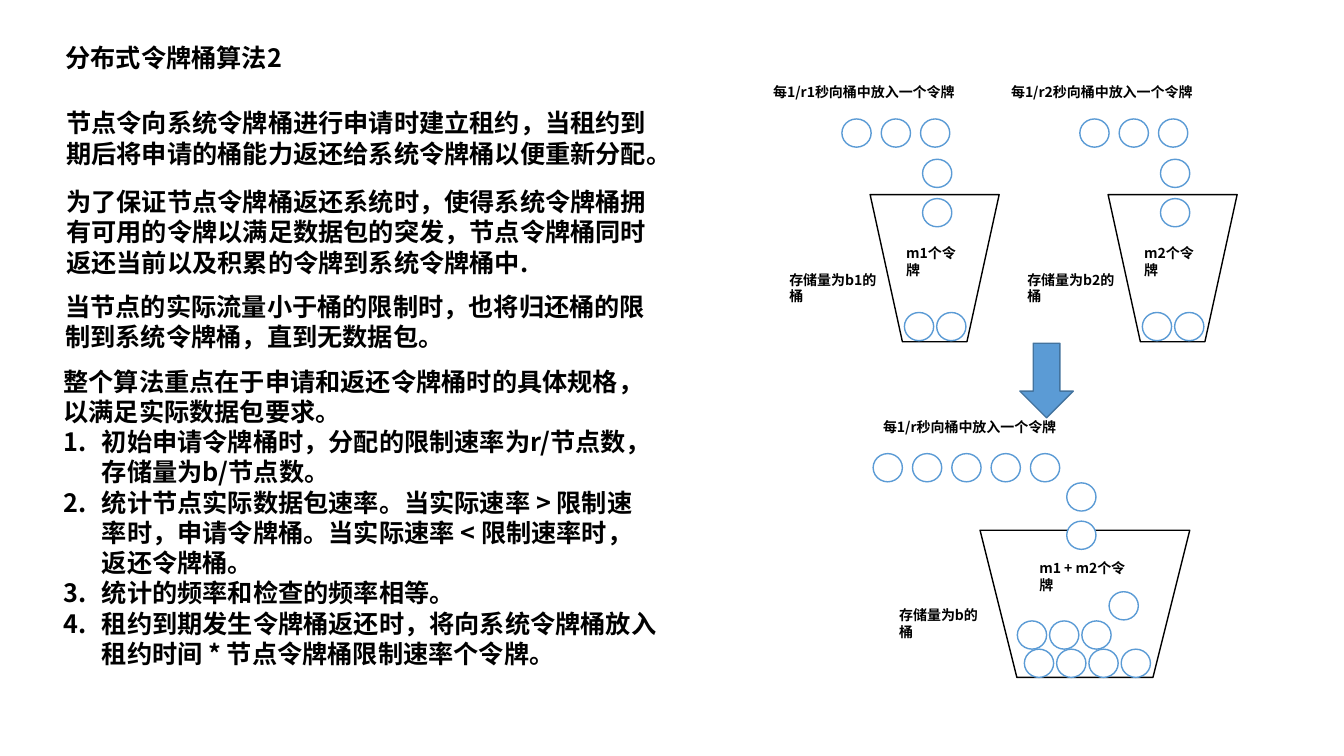
from lxml import etree
from pptx import Presentation
from pptx import util as u
from pptx.dml.color import RGBColor
from pptx.enum import shapes, text
from pptx.oxml import ns

TITLE = ("分布式令牌桶算法2", (0.55, 0.37, 2.36, 0.4))
PARAGRAPHS = [
    ("节点令向系统令牌桶进行申请时建立租约，当租约到期后将申请的桶能力返还给系统令牌桶以便重新分配。",
     (0.56, 1.02, 6.09, 0.71)),
    ("为了保证节点令牌桶返还系统时，使得系统令牌桶拥有可用的令牌以满足数据包的突发，"
     "节点令牌桶同时返还当前以及积累的令牌到系统令牌桶中.", (0.56, 1.8, 6.09, 1.01)),
    ("当节点的实际流量小于桶的限制时，也将归还桶的限制到系统令牌桶，直到无数据包。",
     (0.55, 2.84, 6.09, 0.71)),
]
SUMMARY = "整个算法重点在于申请和返还令牌桶时的具体规格，以满足实际数据包要求。"
RULES = [
    "初始申请令牌桶时，分配的限制速率为r/节点数，存储量为b/节点数。",
    "统计节点实际数据包速率。当实际速率 > 限制速率时，申请令牌桶。当实际速率 < 限制速率时，返还令牌桶。",
    "统计的频率和检查的频率相等。",
    "租约到期发生令牌桶返还时，将向系统令牌桶放入租约时间 * 节点令牌桶限制速率个令牌。",
]
RULES_BOX = (0.53, 3.58, 6.09, 3.13)

# Token rows: (offset from the bucket's left, offset from its top, count, pitch)
QUEUE, STORED = 0.39, 0.32
NODE_ROWS = [(-0.28, -0.75, 3, QUEUE), (0.52, -0.35, 1, 0), (0.52, 0.04, 1, 0),
             (0.34, 1.17, 2, STORED)]
SYSTEM_ROWS = [(0.44, 1.18, 4, STORED), (0.37, 0.9, 3, STORED), (1.28, 0.61, 1, 0),
               (-1.06, -0.76, 5, QUEUE), (0.86, -0.47, 1, 0), (0.86, -0.09, 1, 0)]
# Labels: (wording, offset from left, offset from top, width)
NODE_LABELS = [("每1/r{0}秒向桶中放入一个令牌", -1.06, -1.15, 2.03),
               ("存储量为b{0}的桶", -0.9, 0.71, 1.18), ("m{0}个令牌", 0.26, 0.45, 0.76)]
SYSTEM_LABELS = [("每1/r秒向桶中放入一个令牌", -1.06, -1.16, 1.96),
                 ("存储量为b的桶", -0.9, 0.71, 1.11), ("m1 + m2个令牌", 0.49, 0.24, 1.11)]
# Buckets: (number, left, top, width, token rows, labels)
BUCKETS = [("", 9.72, 5.26, 2.08, SYSTEM_ROWS, SYSTEM_LABELS),
           ("1", 8.63, 1.93, 1.28, NODE_ROWS, NODE_LABELS),
           ("2", 10.99, 1.93, 1.28, NODE_ROWS, NODE_LABELS)]
BUCKET_HEIGHT = 1.46
TOKEN_SIZE = (0.29, 0.28)
LABEL_HEIGHT = 0.27
ARROW = (10.01, 3.51, 0.74, 0.53)

FONT = "Noto Sans CJK SC"
BODY_PT, LABEL_PT = 18, 10
BLACK = RGBColor(0x00, 0x00, 0x00)
WHITE = RGBColor(0xFF, 0xFF, 0xFF)
BLUE = RGBColor(0x5B, 0x9B, 0xD5)
DARK_BLUE = RGBColor(0x43, 0x73, 0x9E)


def inches(box):
    """Turn a box in inches into slide lengths."""
    return [u.Inches(length) for length in box]


def write(holder, lines, size):
    """Fill a text holder with bold, top-left aligned lines."""
    frame = holder.text_frame
    frame.text = "\n".join(lines)
    frame.word_wrap = True
    frame.auto_size = text.MSO_AUTO_SIZE.SHAPE_TO_FIT_TEXT
    frame.vertical_anchor = text.MSO_ANCHOR.TOP
    for paragraph in frame.paragraphs:
        paragraph.alignment = text.PP_ALIGN.LEFT
        paragraph.space_before = u.Pt(0)
        for run in paragraph.runs:
            font = run.font
            font.size, font.bold, font.name = u.Pt(size), True, FONT
            font.color.rgb = BLACK
            etree.SubElement(run._r.rPr, ns.qn("a:ea"), typeface=FONT)


def place(holder, box):
    """Move a placeholder to a box."""
    holder.left, holder.top, holder.width, holder.height = inches(box)


def add_text(slide, wording, box, size):
    """Add a one-paragraph text box."""
    write(slide.shapes.add_textbox(*inches(box)), [wording], size)


def add_outline(slide, preset, box, fill, line, rotation=0):
    """Add a filled preset shape with a one-point line."""
    shape = slide.shapes.add_shape(preset, *inches(box))
    shape.shadow.inherit = False
    shape.fill.solid()
    shape.fill.fore_color.rgb = fill
    shape.line.color.rgb = line
    shape.line.width = u.Pt(1)
    shape.rotation = rotation


def number_rules(paragraphs):
    """Leave the summary plain and number the rules below it."""
    for index, paragraph in enumerate(paragraphs):
        props = paragraph._p.get_or_add_pPr()
        indent = u.Inches(0.38) if index else 0
        props.set("marL", str(indent))
        props.set("indent", str(-indent))
        if index:
            etree.SubElement(props, ns.qn("a:buFont"), typeface="+mj-lt")
            etree.SubElement(props, ns.qn("a:buAutoNum"), type="arabicPeriod")
        else:
            etree.SubElement(props, ns.qn("a:buNone"))


def add_bucket(slide, number, left, top, width, rows, labels):
    """Draw a bucket with its tokens and labels."""
    add_outline(slide, shapes.MSO_SHAPE.TRAPEZOID, (left, top, width, BUCKET_HEIGHT),
                WHITE, BLACK, 180)
    for dx, dy, count, pitch in rows:
        for step in range(count):
            add_outline(slide, shapes.MSO_SHAPE.OVAL,
                        (left + dx + step * pitch, top + dy, *TOKEN_SIZE), WHITE, BLUE)
    for wording, dx, dy, label_width in labels:
        add_text(slide, wording.format(number),
                 (left + dx, top + dy, label_width, LABEL_HEIGHT), LABEL_PT)


def main():
    """Build the slide and save it."""
    deck = Presentation()
    deck.slide_width, deck.slide_height = u.Inches(13.33), u.Inches(7.5)
    slide = deck.slides.add_slide(deck.slide_layouts[1])
    title, rules = slide.placeholders
    write(title, [TITLE[0]], BODY_PT)
    place(title, TITLE[1])
    write(rules, [SUMMARY, *RULES], BODY_PT)
    place(rules, RULES_BOX)
    number_rules(rules.text_frame.paragraphs)
    for wording, box in PARAGRAPHS:
        add_text(slide, wording, box, BODY_PT)
    for bucket in BUCKETS:
        add_bucket(slide, *bucket)
    add_outline(slide, shapes.MSO_SHAPE.RIGHT_ARROW, ARROW, BLUE, DARK_BLUE, 90)
    deck.save("out.pptx")


main()
